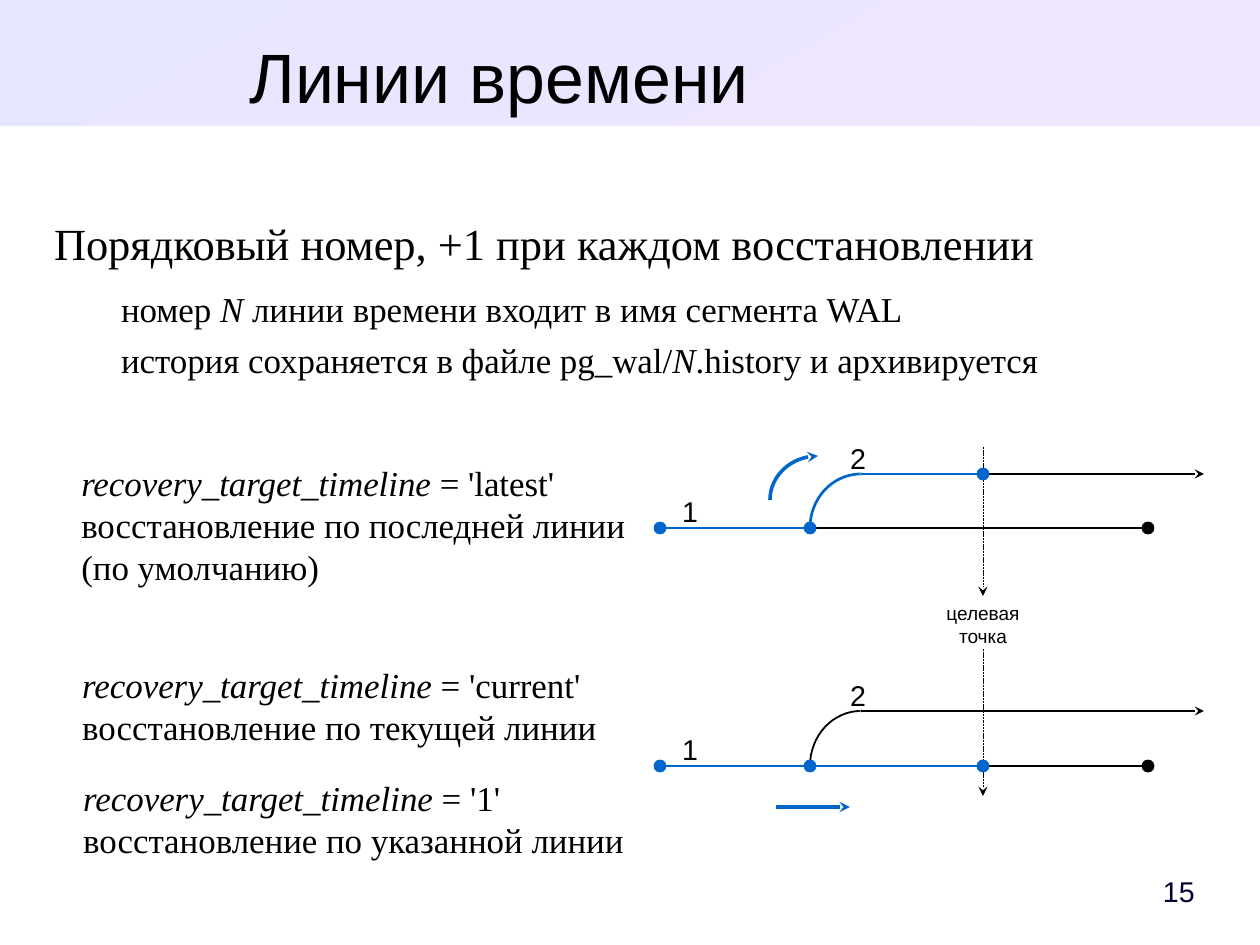
from dataclasses import dataclass
from math import cos, pi, sin

from lxml import etree
from pptx import Presentation
from pptx.dml.color import RGBColor
from pptx.enum.dml import MSO_LINE
from pptx.enum.shapes import MSO_CONNECTOR, MSO_SHAPE
from pptx.enum.text import MSO_ANCHOR, MSO_AUTO_SIZE, PP_ALIGN
from pptx.oxml.ns import qn
from pptx.util import Emu, Pt

PX = 8000
WIDE, HIGH = 1260, 945
STRAIGHT = MSO_CONNECTOR.STRAIGHT
RECT, OVAL = MSO_SHAPE.RECTANGLE, MSO_SHAPE.OVAL
TOP, MIDDLE = MSO_ANCHOR.TOP, MSO_ANCHOR.MIDDLE
LEFT, CENTER, RIGHT = PP_ALIGN.LEFT, PP_ALIGN.CENTER, PP_ALIGN.RIGHT
DASH = MSO_LINE.SQUARE_DOT
NO_FIT = MSO_AUTO_SIZE.NONE
SANS, SERIF = "Arial", "Times New Roman"
COLORS = {
    "black": "000000", "blue": "0066CC", "navy": "000033",
    "sky": "729FCF", "start": "E6E6FF", "end": "F0E6FF",
}
THIN, BOLD, THICK, HAIR = 1.13, 1.7, 2.27, 0.5
LEAD, FORK, JOIN, GOAL, LAST, TIP = 660, 810, 861, 983, 1148, 1204
DOT = 12


@dataclass
class Lane:
    main: int
    fork: int
    stop: int
    goal: int
    hue: str
    width: float


@dataclass
class Note:
    text: str
    box: tuple[int, int, int, int]


LANES = [
    Lane(528, 474, FORK, 474, "blue", BOLD),
    Lane(766, 711, GOAL, 766, "black", THIN),
]
NOTES = [
    Note("*recovery_target_timeline* = 'latest'|восстановление по последней линии|(по умолчанию)",
         (70, 456, 570, 138)),
    Note("*recovery_target_timeline* = 'current'|восстановление по текущей линии",
         (71, 658, 558, 127)),
    Note("*recovery_target_timeline* = '1'|восстановление по указанной линии",
         (72, 771, 568, 89)),
]


def rgb(name: str) -> RGBColor:
    return RGBColor.from_string(COLORS[name])


def scale(*sizes: int) -> list[Emu]:
    return [Emu(size * PX) for size in sizes]


def place(shape, box: tuple[int, int, int, int]) -> None:
    shape.left, shape.top, shape.width, shape.height = scale(*box)


def write(para, text: str, *, size: float, font: str = SANS, color: str = "black",
          align=LEFT, after: float = 0) -> None:
    para.alignment = align
    para.space_before, para.space_after = Pt(0), Pt(after)
    para.line_spacing = 1.0
    for row, line in enumerate(text.split("|")):
        if row:
            para.add_line_break()
        for part, piece in enumerate(line.split("*")):
            if not piece:
                continue
            run = para.add_run()
            run.text = piece
            run.font.size, run.font.name = Pt(size), font
            run.font.italic = part % 2 == 1
            run.font.color.rgb = rgb(color)


def label(slide, rows: list[str], box: tuple[int, int, int, int], *, wrap: bool = False,
          anchor=TOP, **style) -> None:
    frame = slide.shapes.add_textbox(*scale(*box)).text_frame
    frame.word_wrap = wrap
    frame.vertical_anchor = anchor
    for row, text in enumerate(rows):
        para = frame.add_paragraph() if row else frame.paragraphs[0]
        write(para, text, **style)


def stroke(shape, color: str, width: float, arrow: bool) -> None:
    shape.line.color.rgb = rgb(color)
    shape.line.width = Pt(width)
    if arrow:
        line = shape.line._get_or_add_ln()
        etree.SubElement(line, qn("a:tailEnd"), type="stealth")


def rule(slide, x1: int, y1: int, x2: int, y2: int, color: str, width: float,
         arrow: bool = False, dash: bool = False) -> None:
    link = slide.shapes.add_connector(STRAIGHT, *scale(x1, y1, x2, y2))
    if dash:
        link.line.dash_style = DASH
    stroke(link, color, width, arrow)
    etree.SubElement(link._element.spPr, qn("a:effectLst"))


def bend(slide, x1: int, y1: int, x2: int, y2: int, color: str, width: float,
         arrow: bool = False) -> None:
    steps = 16
    turns = [pi / 2 * n / steps for n in range(steps + 1)]
    dots = [(round((x2 - (x2 - x1) * cos(t)) * PX), round((y1 - (y1 - y2) * sin(t)) * PX))
            for t in turns]
    pen = slide.shapes.build_freeform(*dots[0])
    pen.add_line_segments(dots[1:], close=False)
    curve = pen.convert_to_shape()
    curve.shadow.inherit = False
    curve.fill.background()
    stroke(curve, color, width, arrow)


def spot(slide, x: int, y: int, color: str, size: int = DOT) -> None:
    box = (x - size // 2, y - size // 2, size, size)
    dot = slide.shapes.add_shape(OVAL, *scale(*box))
    dot.shadow.inherit = False
    dot.fill.solid()
    dot.fill.fore_color.rgb = rgb(color)
    stroke(dot, color, HAIR, False)


def clear(frame, anchor) -> None:
    frame.auto_size = NO_FIT
    frame.vertical_anchor = anchor
    frame.margin_left = frame.margin_right = frame.margin_top = frame.margin_bottom = 0


def head(slide) -> None:
    title = slide.shapes.title
    band = slide.shapes.add_shape(RECT, *scale(0, 0, WIDE, 126))
    band.shadow.inherit = False
    band.line.fill.background()
    band.fill.gradient()
    band.fill.gradient_angle = 300
    for stop, name in zip(band.fill.gradient_stops, ("start", "end")):
        stop.color.rgb = rgb(name)
    title._element.addprevious(band._element)
    place(title, (54, 36, 891, 79))
    clear(title.text_frame, MIDDLE)
    write(title.text_frame.paragraphs[0], "Линии времени", size=44, align=CENTER)


def listing(slide) -> None:
    body = slide.placeholders[1]
    place(body, (54, 216, 1152, 648))
    frame = body.text_frame
    clear(frame, TOP)
    rows = [
        ("Порядковый номер, +1 при каждом восстановлении", 0, 28, 11.3),
        ("номер *N* линии времени входит в имя сегмента WAL", 1, 22, 5.7),
        ("история сохраняется в файле pg_wal/*N*.history и архивируется", 1, 22, 0),
    ]
    for row, (text, level, size, after) in enumerate(rows):
        para = frame.add_paragraph() if row else frame.paragraphs[0]
        para.level = level
        props = para._p.get_or_add_pPr()
        props.set("marL", str(67 * PX * level))
        props.set("indent", "0")
        etree.SubElement(props, qn("a:buNone"))
        write(para, text, size=size, font=SERIF, after=after)


def draw(slide, lane: Lane) -> None:
    main, fork = lane.main, lane.fork
    rule(slide, lane.stop, main, LAST, main, "black", THIN)
    rule(slide, LEAD, main, lane.stop, main, "blue", BOLD)
    bend(slide, FORK, main, JOIN, fork, lane.hue, lane.width)
    spot(slide, JOIN, fork, "sky", 2)
    rule(slide, JOIN, fork, GOAL, fork, lane.hue, lane.width)
    rule(slide, GOAL, fork, TIP, fork, "black", THIN, arrow=True)
    for x, y, color in ((LEAD, main, "blue"), (FORK, main, "blue"),
                        (GOAL, lane.goal, "blue"), (LAST, main, "black")):
        spot(slide, x, y, color)
    label(slide, ["1"], (671, main - 40, 39, 43), size=18)
    label(slide, ["2"], (839, fork - 39, 39, 43), size=18)


def main() -> None:
    deck = Presentation()
    deck.slide_width, deck.slide_height = scale(WIDE, HIGH)
    slide = deck.slides.add_slide(deck.slide_layouts[1])
    head(slide)
    listing(slide)
    for y1, y2 in ((447, 596), (649, 796)):
        rule(slide, GOAL, y1, GOAL, y2, "black", HAIR, arrow=True, dash=True)
    for lane in LANES:
        draw(slide, lane)
    bend(slide, 770, 500, 818, 456, "blue", THICK, arrow=True)
    rule(slide, 776, 807, 850, 807, "blue", THICK, arrow=True)
    label(slide, ["целевая", "точка"], (935, 596, 96, 54), size=12, align=CENTER)
    for note in NOTES:
        label(slide, [note.text], note.box, wrap=True, size=22, font=SERIF)
    label(slide, ["15"], (1107, 864, 99, 54), anchor=MIDDLE, size=18, color="navy", align=RIGHT)
    deck.save("out.pptx")


if __name__ == "__main__":
    main()
